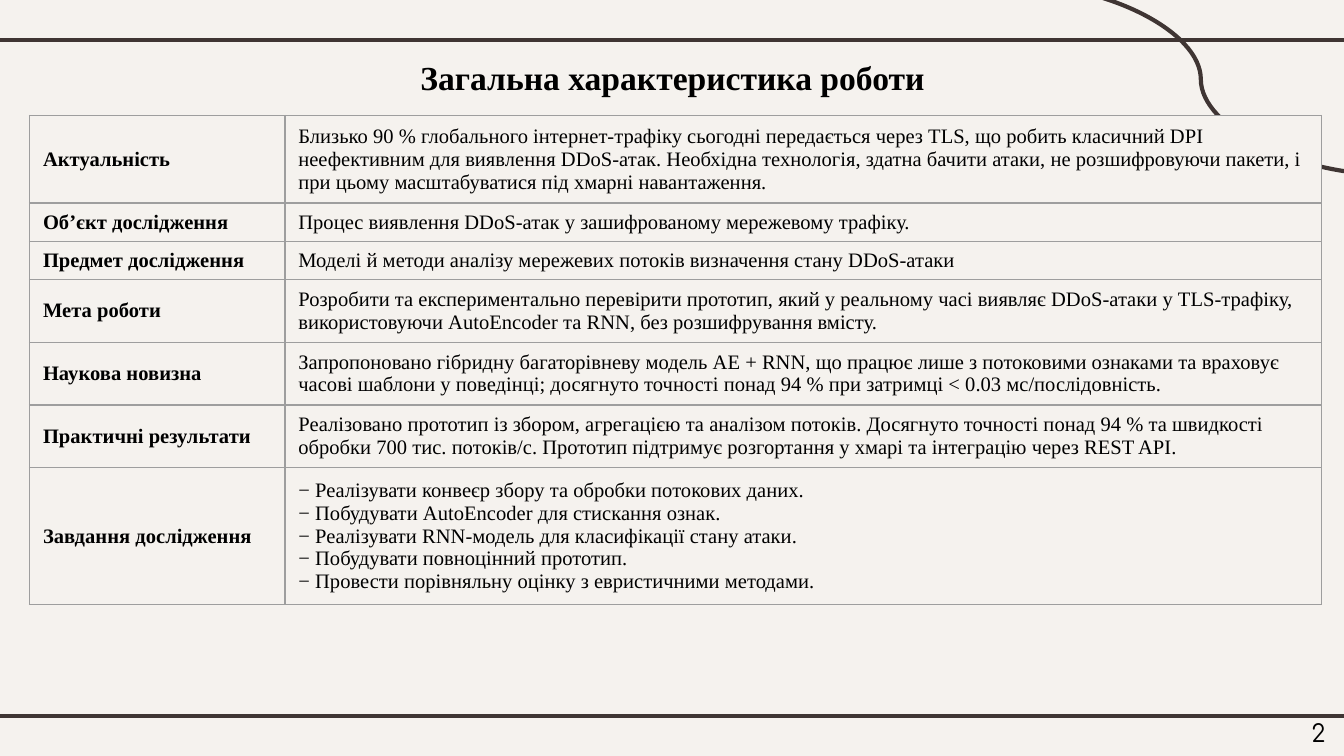
from dataclasses import dataclass

from lxml.etree import SubElement
from pptx import Presentation
from pptx.dml.color import RGBColor
from pptx.enum.shapes import MSO_CONNECTOR
from pptx.enum.text import MSO_ANCHOR, PP_ALIGN
from pptx.oxml import parse_xml
from pptx.oxml.ns import nsdecls, qn
from pptx.slide import Slide
from pptx.table import _Cell
from pptx.text.text import _Paragraph
from pptx.util import Inches, Pt

PAPER = RGBColor(0xF5, 0xF2, 0xEE)
INK = RGBColor(0x3F, 0x35, 0x33)
GRID = RGBColor(0x9E, 0x9E, 0x9E)
BLACK = RGBColor(0, 0, 0)
SERIF = "Times New Roman"
ROUND = "Comfortaa"

WIDTH = Inches(10)
HEIGHT = WIDTH * 9 // 16
UNIT = WIDTH / 100


@dataclass(frozen=True)
class Stroke:
    kind: MSO_CONNECTOR
    x1: float
    y1: float
    x2: float
    y2: float


@dataclass(frozen=True)
class Label:
    text: str
    x: float
    y: float
    w: float
    h: float
    size: float
    font: str
    bold: bool
    align: PP_ALIGN
    anchor: MSO_ANCHOR


@dataclass(frozen=True)
class Topic:
    name: str
    text: str
    rows: float


STROKES = [
    Stroke(MSO_CONNECTOR.STRAIGHT, -0.8, 3, 100.8, 3),
    Stroke(MSO_CONNECTOR.STRAIGHT, -0.8, 53.3, 100.8, 53.3),
    Stroke(MSO_CONNECTOR.CURVE, 75.3, -1.2, 103.4, 13),
]

LABELS = [
    Label("Загальна характеристика роботи", 25, 3.2, 50.1, 2.9, 18, SERIF, True,
          PP_ALIGN.CENTER, MSO_ANCHOR.TOP),
    Label("2", 93.6, 52.4, 6, 4.3, 13, ROUND, False,
          PP_ALIGN.RIGHT, MSO_ANCHOR.MIDDLE),
]

TOPICS = [
    Topic("Актуальність",
          "Близько 90 % глобального інтернет-трафіку сьогодні передається через TLS, "
          "що робить класичний DPI неефективним для виявлення DDoS-атак. Необхідна "
          "технологія, здатна бачити атаки, не розшифровуючи пакети, і при цьому "
          "масштабуватися під хмарні навантаження.", 4.4),
    Topic("Об’єкт дослідження",
          "Процес виявлення DDoS-атак у зашифрованому мережевому трафіку.", 2.4),
    Topic("Предмет дослідження",
          "Моделі й методи аналізу мережевих потоків визначення стану DDoS-атаки", 2.4),
    Topic("Мета роботи",
          "Розробити та експериментально перевірити прототип, який у реальному часі "
          "виявляє DDoS-атаки у TLS-трафіку, використовуючи AutoEncoder та RNN, без "
          "розшифрування вмісту.", 3.4),
    Topic("Наукова новизна",
          "Запропоновано гібридну багаторівневу модель AE + RNN, що працює лише з "
          "потоковими ознаками та враховує часові шаблони у поведінці; досягнуто "
          "точності понад 94 % при затримці < 0.03 мс/послідовність.", 3.4),
    Topic("Практичні результати",
          "Реалізовано прототип із збором, агрегацією та аналізом потоків. Досягнуто "
          "точності понад 94 % та швидкості обробки 700 тис. потоків/с. Прототип "
          "підтримує розгортання у хмарі та інтеграцію через REST API.", 3.4),
    Topic("Завдання дослідження",
          "− Реалізувати конвеєр збору та обробки потокових даних.\n"
          "− Побудувати AutoEncoder для стискання ознак.\n"
          "− Реалізувати RNN-модель для класифікації стану атаки.\n"
          "− Побудувати повноцінний прототип.\n"
          "− Провести порівняльну оцінку з евристичними методами.", 7.3),
]


def grid(n: float) -> int:
    return round(n * UNIT)


def style(p: _Paragraph, size: float, font: str, bold: bool) -> None:
    p.font.size = Pt(size)
    p.font.name = font
    p.font.bold = bold
    p.font.color.rgb = BLACK


def draw_stroke(s: Slide, stroke: Stroke) -> None:
    ends = (grid(n) for n in (stroke.x1, stroke.y1, stroke.x2, stroke.y2))
    sp = s.shapes.add_connector(stroke.kind, *ends)
    sp.line.color.rgb = INK
    sp.line.width = Pt(2.25)
    SubElement(sp._element.spPr, qn("a:effectLst"))


def draw_label(s: Slide, label: Label) -> None:
    box = (grid(n) for n in (label.x, label.y, label.w, label.h))
    tf = s.shapes.add_textbox(*box).text_frame
    tf.word_wrap = True
    tf.vertical_anchor = label.anchor
    tf.margin_left = tf.margin_right = tf.margin_top = tf.margin_bottom = grid(1)
    p = tf.paragraphs[0]
    p.text = label.text
    p.alignment = label.align
    style(p, label.size, label.font, label.bold)


def fill_cell(cell: _Cell, text: str, bold: bool) -> None:
    cell.text = text
    cell.vertical_anchor = MSO_ANCHOR.MIDDLE
    cell.margin_left = cell.margin_right = grid(1)
    cell.margin_top = cell.margin_bottom = grid(0.5)
    for p in cell.text_frame.paragraphs:
        style(p, 11, SERIF, bold)
    tcPr = cell._tc.get_or_add_tcPr()
    for side in ("lnL", "lnR", "lnT", "lnB"):
        tcPr.append(parse_xml(
            f'<a:{side} {nsdecls("a")} w="{Pt(0.75)}"><a:solidFill>'
            f'<a:srgbClr val="{GRID}"/></a:solidFill></a:{side}>'))
    cell.fill.solid()
    cell.fill.fore_color.rgb = PAPER


def draw_topics(s: Slide, topics: list[Topic]) -> None:
    frame = s.shapes.add_table(len(topics), 2, grid(2.2), grid(8.6),
                               grid(96.1), grid(36.3))
    table = frame.table
    table.first_row = table.horz_banding = False
    table.columns[0].width = grid(19)
    table.columns[1].width = grid(77.1)
    for row, topic in zip(table.rows, topics):
        row.height = grid(topic.rows)
        fill_cell(row.cells[0], topic.name, True)
        fill_cell(row.cells[1], topic.text, False)
    frame.height = grid(36.3)


def main() -> None:
    prs = Presentation()
    prs.slide_width, prs.slide_height = WIDTH, HEIGHT
    s = prs.slides.add_slide(prs.slide_layouts[6])
    s.background.fill.solid()
    s.background.fill.fore_color.rgb = PAPER
    for stroke in STROKES:
        draw_stroke(s, stroke)
    for label in LABELS:
        draw_label(s, label)
    draw_topics(s, TOPICS)
    prs.save("out.pptx")


if __name__ == "__main__":
    main()
